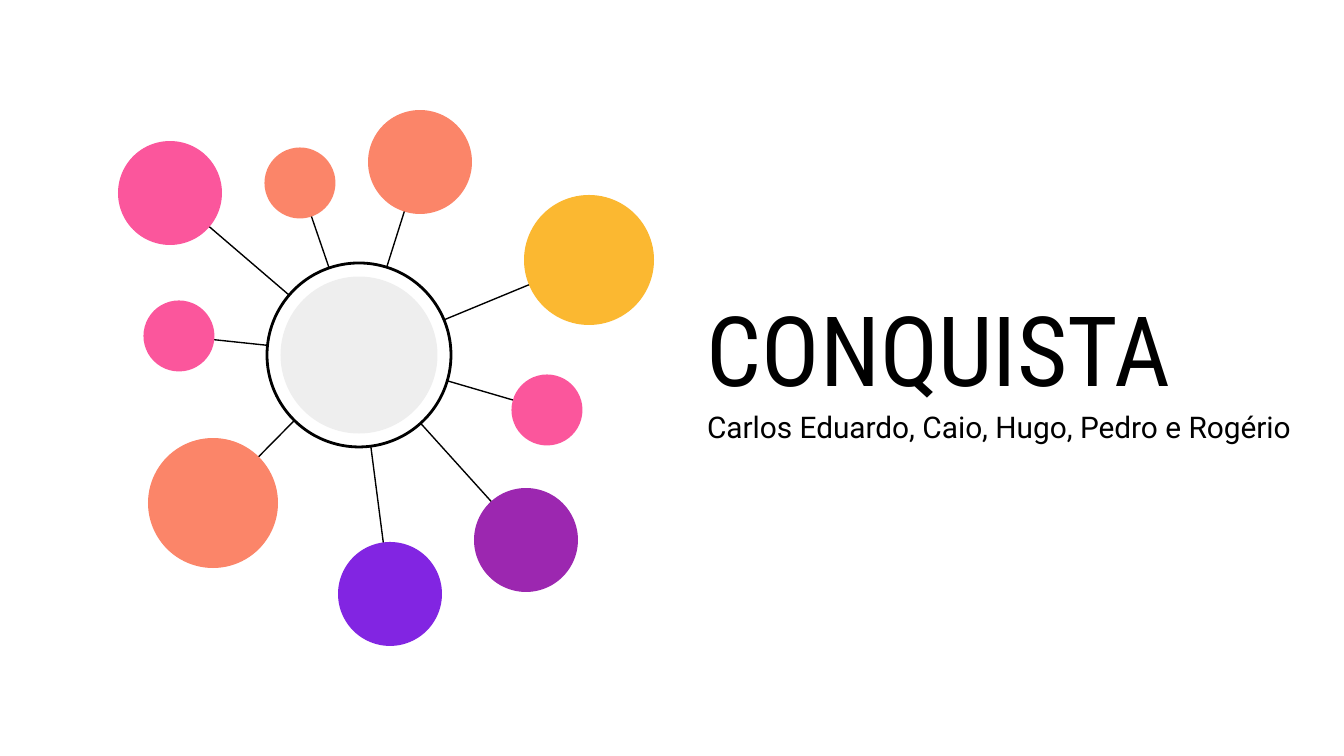
from lxml.etree import SubElement
from pptx import Presentation
from pptx.dml.color import RGBColor
from pptx.enum.shapes import MSO_CONNECTOR as Connector, MSO_SHAPE as Shape
from pptx.enum.text import MSO_ANCHOR as Anchor
from pptx.oxml.ns import qn
from pptx.util import Pt

WIDTH, HEIGHT = 1344, 756
EMU_PER_PX = 9144000 / WIDTH

BLACK, WHITE, GREY = "000000", "FFFFFF", "EEEEEE"
YELLOW, ORANGE, PINK = "FBB831", "FB8569", "FB569C"
PURPLE, VIOLET = "9C27B0", "8225E2"
LARGE, MEDIUM, SMALL = 130, 104, 71

HUB = (359, 355)
SATELLITES = [  # centre x, centre y, diameter, colour
    (589, 260, LARGE, YELLOW),
    (213, 503, LARGE, ORANGE),
    (420, 162, MEDIUM, ORANGE),
    (170, 193, MEDIUM, PINK),
    (526, 540, MEDIUM, PURPLE),
    (390, 594, MEDIUM, VIOLET),
    (179, 336, SMALL, PINK),
    (547, 410, SMALL, PINK),
    (300, 183, SMALL, ORANGE),
]


def px(length):
    return round(length * EMU_PER_PX)


def rgb(color):
    return RGBColor.from_string(color)


class SlideBuilder:
    """Draws on one slide in a shared style."""

    ink = BLACK
    inset = 13

    def __init__(self, slide):
        self.shapes = slide.shapes
        slide.background.fill.solid()
        slide.background.fill.fore_color.rgb = rgb(WHITE)

    def text(self, wording, left, top, width, height, font, size):
        frame = self.shapes.add_textbox(px(left), px(top), px(width), px(height)).text_frame
        frame.word_wrap = True
        frame.vertical_anchor = Anchor.MIDDLE
        frame.margin_left = frame.margin_right = px(self.inset)
        frame.margin_top = frame.margin_bottom = px(self.inset)
        paragraph = frame.paragraphs[0]
        paragraph.text = wording
        paragraph.font.name = font
        paragraph.font.size = Pt(size)
        paragraph.font.color.rgb = rgb(self.ink)

    def spoke(self, start, end):
        line = self.shapes.add_connector(Connector.STRAIGHT, *map(px, start + end))
        line.line.color.rgb = rgb(self.ink)
        line.line.width = Pt(0.75)
        SubElement(line._element.spPr, qn("a:effectLst"))

    def circle(self, center, diameter, color, outline=None):
        """Draw a circle around its centre; outline is a line width in points."""
        left, top = (px(c - diameter / 2) for c in center)
        disc = self.shapes.add_shape(Shape.OVAL, left, top, px(diameter), px(diameter))
        disc.shadow.inherit = False
        disc.fill.solid()
        disc.fill.fore_color.rgb = rgb(color)
        if outline:
            disc.line.color.rgb = rgb(self.ink)
            disc.line.width = Pt(outline)
        else:
            disc.line.fill.background()


def main():
    deck = Presentation()
    deck.slide_width, deck.slide_height = px(WIDTH), px(HEIGHT)
    builder = SlideBuilder(deck.slides.add_slide(deck.slide_layouts[6]))

    builder.text("CONQUISTA", 694, 188, 505, 319, "Roboto Condensed", 52)
    builder.text("Carlos Eduardo, Caio, Hugo, Pedro e Rogério",
                 694, 395, 637, 63, "Roboto", 16)

    for x, y, diameter, color in SATELLITES:
        builder.spoke((x, y), HUB)
        builder.circle((x, y), diameter, color)

    builder.circle(HUB, 184, WHITE, outline=1.5)
    builder.circle(HUB, 157, GREY)

    deck.save("out.pptx")


if __name__ == "__main__":
    main()
